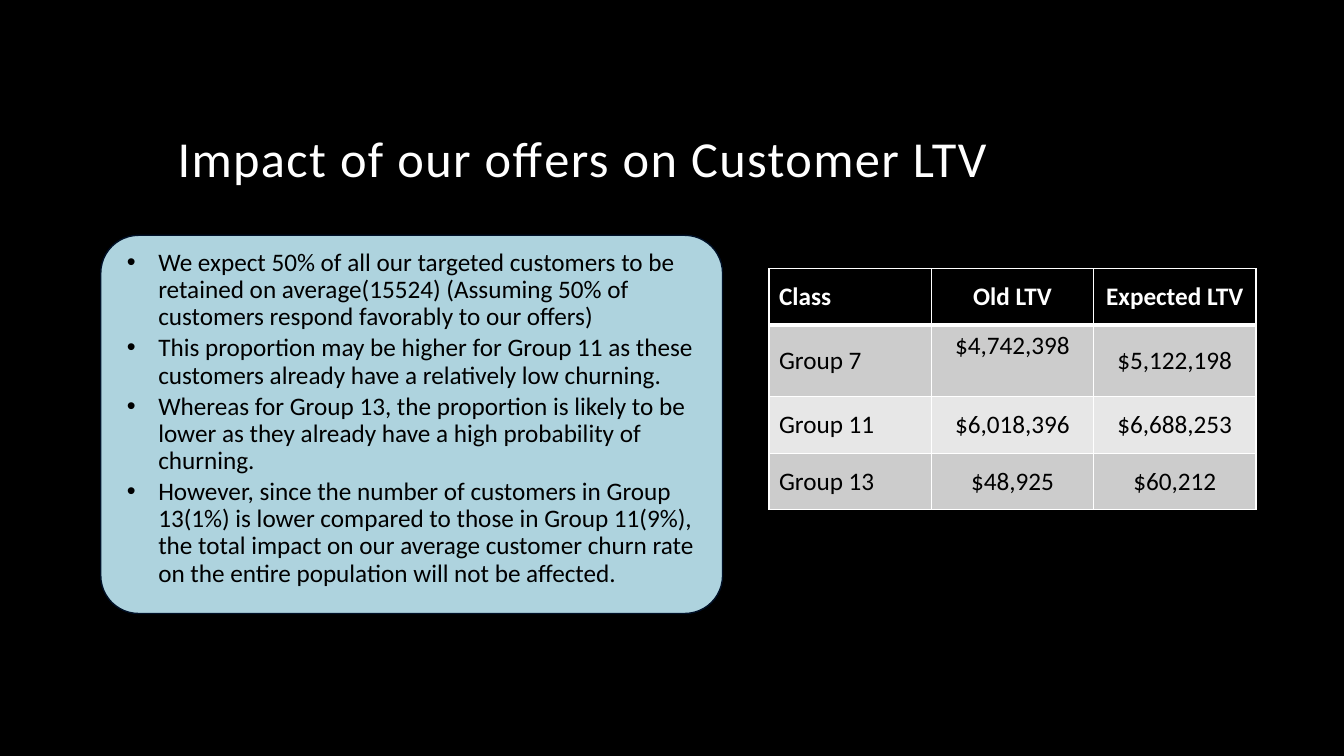
from dataclasses import dataclass
from lxml import etree
from pptx import Presentation
from pptx.dml.color import RGBColor
from pptx.enum.shapes import MSO_SHAPE
from pptx.enum.text import MSO_ANCHOR, MSO_AUTO_SIZE, PP_ALIGN
from pptx.oxml.ns import qn
from pptx.util import Cm, Pt

ROUND = MSO_SHAPE.ROUNDED_RECTANGLE
LEFT, CENTER = PP_ALIGN.LEFT, PP_ALIGN.CENTER
TOP, MIDDLE, BOTTOM = MSO_ANCHOR.TOP, MSO_ANCHOR.MIDDLE, MSO_ANCHOR.BOTTOM
NO_FIT = MSO_AUTO_SIZE.NONE


@dataclass
class Theme:
    font: str = "Calibri"
    head: Pt = Pt(36)
    body: Pt = Pt(18)
    black: RGBColor = RGBColor(0, 0, 0)
    white: RGBColor = RGBColor(255, 255, 255)
    panel: RGBColor = RGBColor(0xC1, 0xEB, 0xF7)
    edge: RGBColor = RGBColor(0x00, 0x10, 0x27)
    dark: RGBColor = RGBColor(0xCC, 0xCC, 0xCC)
    light: RGBColor = RGBColor(0xE7, 0xE7, 0xE7)


theme = Theme()


def style(item, form):
    for name, value in form.items():
        setattr(item, name, value)


def write(para, text, color, size=theme.body, bold=False):
    run = para.add_run()
    run.text = text
    style(run.font, {"name": theme.font, "size": size, "bold": bold})
    run.font.color.rgb = color
    return run


# Slide
deck = Presentation()
style(deck, {"slide_width": Cm(33.87), "slide_height": Cm(19.05)})
slide = deck.slides.add_slide(deck.slide_layouts[5])
slide.background.fill.solid()
slide.background.fill.fore_color.rgb = theme.black

# Title
title = slide.shapes.title
style(title, {"left": Cm(4.22), "top": Cm(1.07), "width": Cm(25.4), "height": Cm(3.81)})
style(title.text_frame, {"vertical_anchor": BOTTOM, "word_wrap": True, "auto_size": NO_FIT})
para = title.text_frame.paragraphs[0]
style(para, {"alignment": LEFT, "line_spacing": 0.9})
run = write(para, "Impact of our offers on Customer LTV", theme.white, theme.head)
run.font._element.set("spc", "100")

# Panel
group = slide.shapes.add_group_shape()
panel = group.shapes.add_shape(ROUND, Cm(2.54), Cm(5.93), Cm(15.67), Cm(9.53))
panel.adjustments[0] = 0.1
panel.shadow.inherit = False
panel.fill.solid()
panel.fill.fore_color.rgb = theme.panel
tint = panel.fill._xPr.find(qn("a:solidFill"))[0]
etree.SubElement(tint, qn("a:alpha"), val="90000")
panel.line.color.rgb = theme.edge
panel.line.width = Pt(1)

# Bullets
points = [
    "We expect 50% of all our targeted customers to be retained on average(15524) "
    "(Assuming 50% of customers respond favorably to our offers)",
    "This proportion may be higher for Group 11 as these customers already have "
    "a relatively low churning.",
    "Whereas for Group 13, the proportion is likely to be lower as they already have "
    "a high probability of churning.",
    "However, since the number of customers in Group 13(1%) is lower compared to those "
    "in Group 11(9%), the total impact on our average customer churn rate on the entire "
    "population will not be affected.",
]
frame = group.shapes.add_textbox(Cm(2.84), Cm(5.93), Cm(15.06), Cm(8.89)).text_frame
style(frame, {"word_wrap": True, "vertical_anchor": TOP})
style(frame, {f"margin_{side}": Cm(0.36) for side in ("left", "top", "right", "bottom")})
for i, point in enumerate(points):
    para = frame.add_paragraph() if i else frame.paragraphs[0]
    style(para, {"level": 1, "alignment": LEFT, "line_spacing": 0.9, "space_after": Pt(2.7)})
    write(para, point, theme.black)
    props = para._p.get_or_add_pPr()
    props.set("marL", str(Cm(0.79)))
    props.set("indent", str(-Cm(0.79)))
    etree.SubElement(props, qn("a:buFont"), typeface="Arial")
    etree.SubElement(props, qn("a:buChar"), char="•")

# Table
rows = [
    ("Class", "Old LTV", "Expected LTV"),
    ("Group 7", "$4,742,398", "$5,122,198"),
    ("Group 11", "$6,018,396", "$6,688,253"),
    ("Group 13", "$48,925", "$60,212"),
]
highs = [Cm(1.42), Cm(1.81), Cm(1.42), Cm(1.42)]
table = slide.shapes.add_table(4, 3, Cm(19.38), Cm(6.77), Cm(12.27), sum(highs)).table
for col in table.columns:
    col.width = Cm(4.09)
for r, (high, row) in enumerate(zip(highs, rows)):
    table.rows[r].height = high
    shade = theme.dark if r % 2 else theme.light
    for c, text in enumerate(row):
        cell = table.cell(r, c)
        cell.vertical_anchor = MIDDLE
        para = cell.text_frame.paragraphs[0]
        para.alignment = CENTER if c else LEFT
        write(para, text, theme.black if r else theme.white, bold=r == 0)
        # Borders come before the fill in a cell
        props = cell._tc.get_or_add_tcPr()
        for side in "LRTB":
            thick = (r, side) in ((0, "B"), (1, "T"))
            line = etree.SubElement(props, qn(f"a:ln{side}"), w=str(Pt(3 if thick else 1)))
            paint = etree.SubElement(line, qn("a:solidFill"))
            etree.SubElement(paint, qn("a:srgbClr"), val=str(theme.white))
        cell.fill.solid()
        cell.fill.fore_color.rgb = shade if r else theme.black

# The first old value sits above the middle of its row
table.cell(1, 1).margin_bottom = Cm(0.89)

deck.save("out.pptx")
